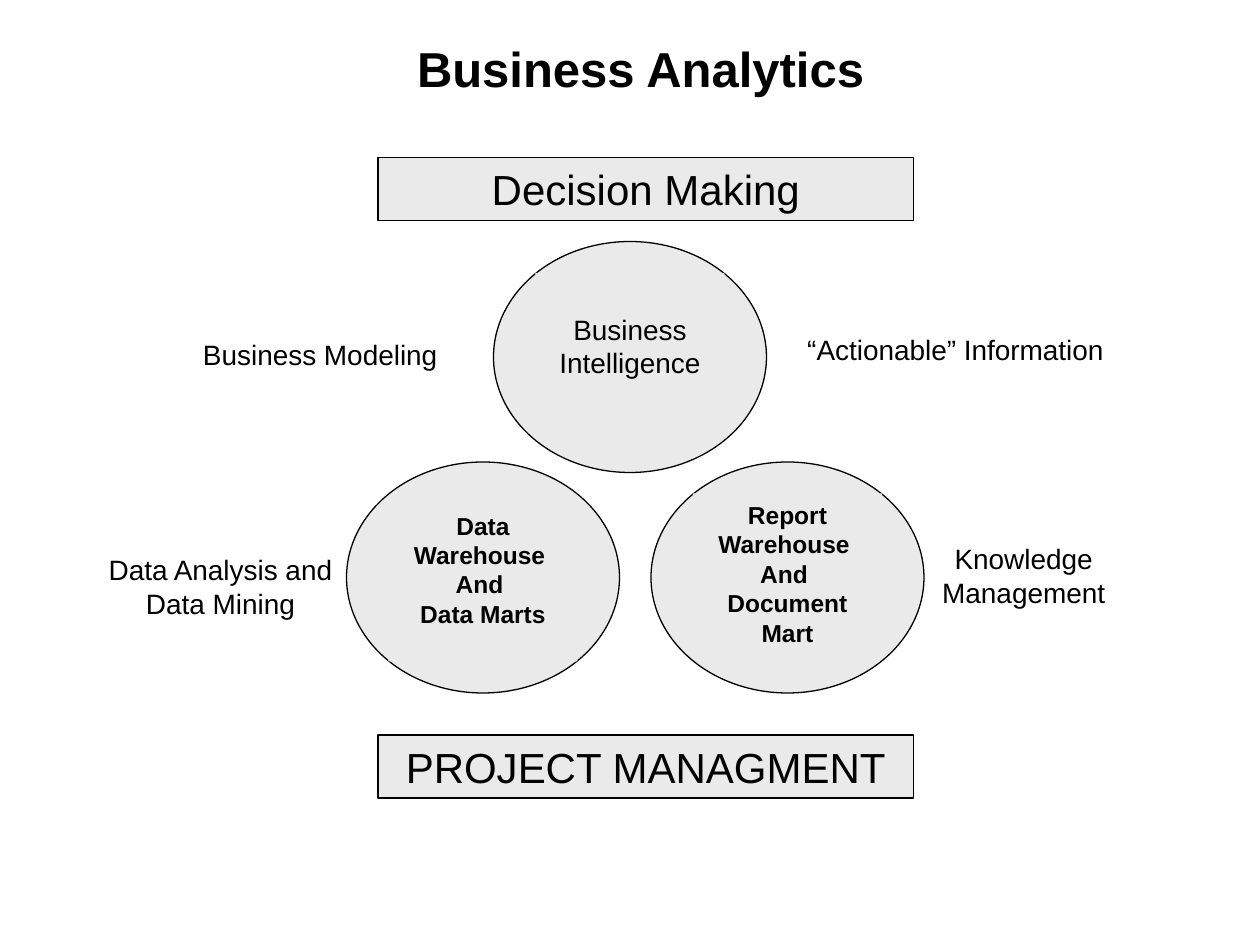
from dataclasses import dataclass

from pptx import Presentation
from pptx.dml.color import RGBColor
from pptx.enum.shapes import MSO_SHAPE
from pptx.enum.text import MSO_ANCHOR, MSO_AUTO_SIZE, PP_ALIGN
from pptx.util import Emu, Pt

RECTANGLE, OVAL = MSO_SHAPE.RECTANGLE, MSO_SHAPE.OVAL
TOP, MIDDLE = MSO_ANCHOR.TOP, MSO_ANCHOR.MIDDLE
CENTER = PP_ALIGN.CENTER
FIT_SHAPE = MSO_AUTO_SIZE.SHAPE_TO_FIT_TEXT
TITLE_ONLY = 5
EMU_PER_PX = 9525


@dataclass(frozen=True)
class Theme:
    font: str = "Arial"
    ink: RGBColor = RGBColor(0x00, 0x00, 0x00)
    panel: RGBColor = RGBColor(0xEA, 0xEA, 0xEA)
    line: float = 0.75
    title: int = 28
    banner: int = 24
    label: int = 16
    caption: int = 14


THEME = Theme()
CIRCLE_SIZE = (208, 176)
CAPTION_SIZE = (144, 120)
BANNER_SIZE = (408, 48)


def px(*lengths):
    return [Emu(length * EMU_PER_PX) for length in lengths]


def write(frame, text, size, bold=False, anchor=TOP, wrap=True, inset_top=5):
    """Fill a frame with centred text: \\n starts a paragraph, \\v a line."""
    frame.word_wrap = wrap
    frame.vertical_anchor = anchor
    frame.margin_left, frame.margin_right = px(10, 10)
    frame.margin_top, frame.margin_bottom = px(inset_top, 5)
    frame.text = text
    for para in frame.paragraphs:
        para.alignment = CENTER
        for span in para.runs:
            span.font.name = THEME.font
            span.font.size = Pt(size)
            span.font.bold = bold
            span.font.color.rgb = THEME.ink


def add_panel(page, kind, box, outlined=True):
    panel = page.shapes.add_shape(kind, *px(*box))
    panel.shadow.inherit = False
    panel.fill.solid()
    panel.fill.fore_color.rgb = THEME.panel
    if outlined:
        panel.line.color.rgb = THEME.ink
        panel.line.width = Pt(THEME.line)
    else:
        panel.line.fill.background()
    return panel


def add_title(page, text, box):
    title = page.shapes.title
    title.left, title.top, title.width, title.height = px(*box)
    write(title.text_frame, text, THEME.title, bold=True, anchor=MIDDLE)


def add_banner(page, text, left, top):
    banner = add_panel(page, RECTANGLE, (left, top, *BANNER_SIZE))
    write(banner.text_frame, text, THEME.banner, anchor=MIDDLE, wrap=False)


def add_circle(page, text, left, top, drop=24, **text_format):
    """Draw a circle with its caption panel, drop px below the circle's top."""
    add_panel(page, OVAL, (left, top, *CIRCLE_SIZE))
    indent = (CIRCLE_SIZE[0] - CAPTION_SIZE[0]) // 2
    box = (left + indent, top + drop, *CAPTION_SIZE)
    caption = add_panel(page, RECTANGLE, box, outlined=False)
    write(caption.text_frame, text, **text_format)


def add_label(page, text, box):
    label = page.shapes.add_textbox(*px(*box))
    write(label.text_frame, text, THEME.label)
    label.text_frame.auto_size = FIT_SHAPE


def add_labels(page):
    for text, box in (
        ("Data Analysis and Data Mining", (48, 416, 240, 61)),
        ("Business Modeling", (128, 252, 232, 36)),
        ("Knowledge Management", (664, 408, 232, 61)),
        ("“Actionable” Information", (592, 248, 272, 36)),
    ):
        add_label(page, text, box)


def add_circles(page, left, top):
    """Place two circles side by side and a third above and between them."""
    add_circle(page, "Report Warehouse \nAnd \nDocument Mart",
               left + 232, top + 168, size=THEME.caption, bold=True)
    add_circle(page, "Data Warehouse \nAnd \nData Marts",
               left, top + 168, drop=32, size=THEME.caption, bold=True)
    add_circle(page, "Business\vIntelligence",
               left + 112, top, size=THEME.label, inset_top=30)


def main():
    deck = Presentation()
    deck.slide_width, deck.slide_height = px(960, 720)
    page = deck.slides.add_slide(deck.slide_layouts[TITLE_ONLY])
    add_title(page, "Business Analytics", (80, 0, 816, 104))
    add_labels(page)
    add_circles(page, left=264, top=184)
    add_banner(page, "PROJECT MANAGMENT", left=288, top=560)
    add_banner(page, "Decision Making", left=288, top=120)
    deck.save("out.pptx")


if __name__ == "__main__":
    main()
